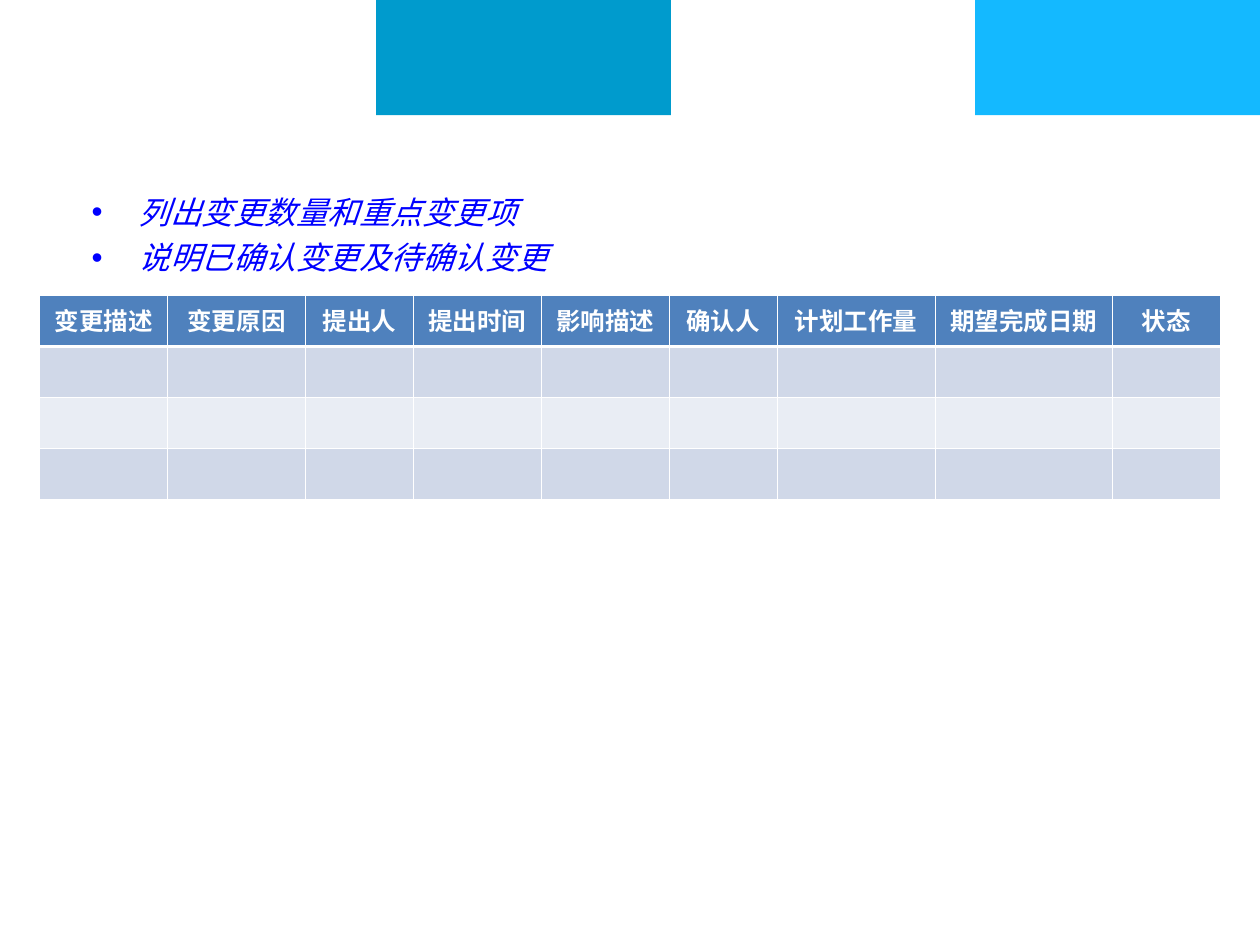
from lxml import etree
from pptx import Presentation
from pptx import util as u
from pptx.dml.color import RGBColor
from pptx.enum import shapes, text
from pptx.oxml import ns

COLORS = {"teal": "009BCD", "sky": "14B9FF", "white": "FFFFFF", "blue": "0000FF",
          "header": "4F81BD", "odd": "D0D8E8", "even": "E9EDF4"}
SANS = "Noto Sans CJK SC"
HEADINGS = ["变更描述", "变更原因", "提出人", "提出时间", "影响描述",
            "确认人", "计划工作量", "期望完成日期", "状态"]
WIDTHS = [10.15, 10.95, 8.57, 10.15, 10.15, 8.57, 12.55, 14.05, 8.57]
BANDS = ["header", "odd", "even", "odd"]


def color(name):
    return RGBColor.from_string(COLORS[name])


def write(para, words, size, tint, latin=SANS, bold=False, italic=False):
    span = para.add_run()
    span.text = words
    font = span.font
    font.size, font.bold, font.italic = u.Pt(size), bold, italic
    font.name = latin
    font.color.rgb = color(tint)
    asian = etree.SubElement(font._element, ns.qn("a:ea"))
    asian.set("typeface", SANS)


class Page:
    """Draws elements on one slide laid out on a grid of 100 columns and 75 rows."""

    def __init__(self, deck):
        self.unit = deck.slide_width / 100
        self.slide = deck.slides.add_slide(deck.slide_layouts[6])

    def span(self, *units):
        return [u.Emu(round(n * self.unit)) for n in units]

    def band(self, left, width, tint):
        box = self.slide.shapes.add_shape(
            shapes.MSO_SHAPE.RECTANGLE, *self.span(left, 0, width, 9.15))
        box.shadow.inherit = False
        box.fill.solid()
        box.fill.fore_color.rgb = color(tint)
        box.line.fill.background()

    def bullets(self, lines):
        box = self.slide.shapes.add_textbox(*self.span(6.3, 14.8, 88.6, 52))
        frame = box.text_frame
        frame.word_wrap = True
        indent = self.span(3.75)[0]
        for index, words in enumerate(lines):
            para = frame.add_paragraph() if index else frame.paragraphs[0]
            para.space_before = u.Pt(4.5)
            props = para._p.get_or_add_pPr()
            props.set("marL", str(indent))
            props.set("indent", str(-indent))
            tint = etree.SubElement(props, ns.qn("a:buClr"))
            etree.SubElement(tint, ns.qn("a:srgbClr"), val=COLORS["blue"])
            etree.SubElement(props, ns.qn("a:buFont"), typeface="Arial")
            etree.SubElement(props, ns.qn("a:buChar"), char="•")
            write(para, words, 18, "blue", italic=True)

    def borders(self, cell, row):
        heavy = {0: "B", 1: "T"}.get(row)
        props = cell._tc.get_or_add_tcPr()
        for index, side in enumerate("LRTB"):
            width = u.Pt(1.5 if side == heavy else 0.5)
            line = etree.Element(ns.qn(f"a:ln{side}"), w=str(width))
            fill = etree.SubElement(line, ns.qn("a:solidFill"))
            etree.SubElement(fill, ns.qn("a:srgbClr"), val=COLORS["white"])
            props.insert(index, line)

    def table(self, left, top, row_height):
        table = self.slide.shapes.add_table(
            len(BANDS), len(WIDTHS),
            *self.span(left, top, sum(WIDTHS), row_height * len(BANDS))).table
        for column, width in zip(table.columns, self.span(*WIDTHS)):
            column.width = width
        for row, tint in enumerate(BANDS):
            for cell in table.rows[row].cells:
                cell.fill.solid()
                cell.fill.fore_color.rgb = color(tint)
                self.borders(cell, row)
        for cell, words in zip(table.rows[0].cells, HEADINGS):
            para = cell.text_frame.paragraphs[0]
            para.alignment = text.PP_ALIGN.CENTER
            write(para, words, 14, "white", latin="Calibri", bold=True)


def main():
    deck = Presentation()
    deck.slide_width, deck.slide_height = u.Inches(10), u.Inches(7.5)
    page = Page(deck)
    page.band(29.85, 23.4, "teal")
    page.band(77.4, 22.6, "sky")
    page.bullets(["列出变更数量和重点变更项", "说明已确认变更及待确认变更"])
    page.table(3.15, 23.45, 4.05)
    deck.save("out.pptx")


if __name__ == "__main__":
    main()
